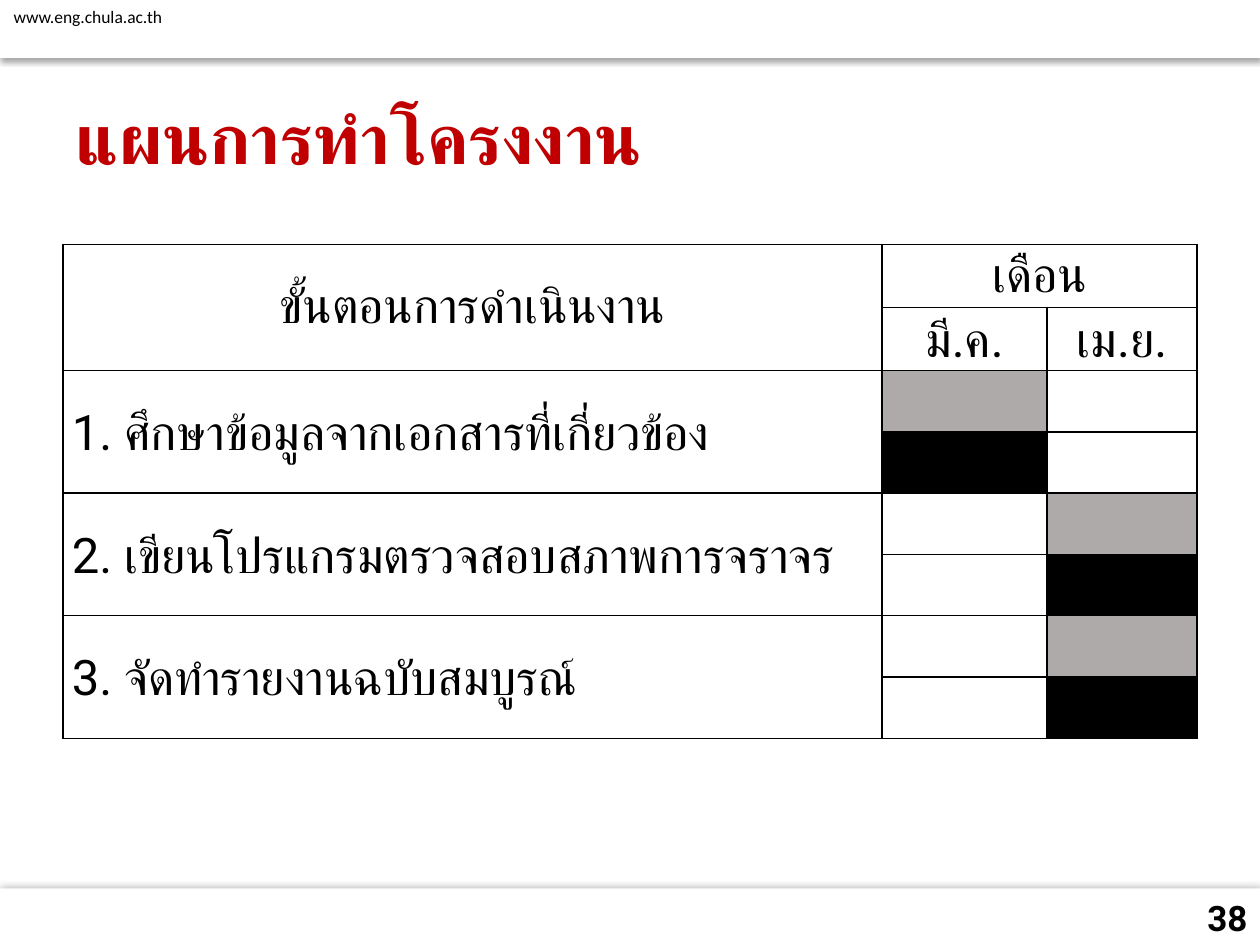
from lxml.etree import SubElement
from pptx import Presentation
from pptx.dml.color import RGBColor
from pptx.enum.shapes import MSO_SHAPE
from pptx.enum.text import MSO_ANCHOR, PP_ALIGN
from pptx.oxml import parse_xml
from pptx.oxml.ns import nsdecls, qn
from pptx.util import Inches, Pt


def color(value):
    return RGBColor.from_string(value)


def write(text_frame, text, size, font_color, alignment=PP_ALIGN.LEFT, bold=False, font_name="Roboto"):
    text_frame.text = text
    paragraph = text_frame.paragraphs[0]
    paragraph.alignment = alignment
    font = paragraph.runs[0].font
    font.name = font_name
    font.size = Pt(size)
    font.bold = bold
    font.color.rgb = color(font_color)
    return paragraph


presentation = Presentation()
presentation.slide_width = Inches(10)
presentation.slide_height = Inches(7.5)
slide = presentation.slides.add_slide(presentation.slide_layouts[6])

bars = [(7.05, 40, 5, 0, 0), (0, 35, 3.1, 1.8, 90)]
for top, opacity, blur, distance, angle in bars:
    bar = slide.shapes.add_shape(MSO_SHAPE.RECTANGLE, 0, Inches(top), Inches(10), Inches(0.46))
    bar.fill.solid()
    bar.fill.fore_color.rgb = color("FFFFFF")
    bar.line.fill.background()
    bar.shadow.inherit = False
    effects = bar.element.spPr.find(qn("a:effectLst"))
    shadow = SubElement(effects, qn("a:outerShdw"), blurRad=str(Pt(blur)), dist=str(Pt(distance)),
                        dir=str(angle * 60000), algn="ctr", rotWithShape="0")
    shadow_color = SubElement(shadow, qn("a:srgbClr"), val="000000")
    SubElement(shadow_color, qn("a:alpha"), val=str(opacity * 1000))

texts = [
    (0.01, 0, 1.4, 0.27, "www.eng.chula.ac.th", 10, "000000", PP_ALIGN.LEFT, False, "Calibri"),
    (0.5, 0.61, 7.8, 0.94, "แผนการทำโครงงาน", 40, "C00000", PP_ALIGN.LEFT, True, "Roboto"),
    (7.67, 7.08, 2.33, 0.4, "38", 20, "000000", PP_ALIGN.RIGHT, True, "Roboto"),
]
for left, top, width, height, *content in texts:
    box = slide.shapes.add_textbox(Inches(left), Inches(top), Inches(width), Inches(height))
    box.text_frame.word_wrap = width > 2
    box.text_frame.vertical_anchor = MSO_ANCHOR.MIDDLE
    write(box.text_frame, *content)

row_height = 0.487
plan = slide.shapes.add_table(8, 3, Inches(0.5), Inches(1.94), Inches(9), Inches(8 * row_height)).table
plan.first_row = False
plan.horz_banding = False
for column, width in zip(plan.columns, (6.5, 1.31, 1.19)):
    column.width = Inches(width)
for row in plan.rows:
    row.height = Inches(row_height)

fills = {}
labels = {
    (0, 0): "ขั้นตอนการดำเนินงาน",
    (0, 1): "เดือน",
    (1, 1): "มี.ค.",
    (1, 2): "เม.ย.",
}
tasks = [
    ("1. ศึกษาข้อมูลจากเอกสารที่เกี่ยวข้อง", 1),
    ("2. เขียนโปรแกรมตรวจสอบสภาพการจราจร", 2),
    ("3. จัดทำรายงานฉบับสมบูรณ์", 2),
]
for index, (task, month) in enumerate(tasks, 1):
    labels[2 * index, 0] = task
    fills[2 * index, month] = "AEAAAA"
    fills[2 * index + 1, month] = "000000"
for top in range(0, 8, 2):
    fills[top, 0] = "FFFFFF"
    plan.cell(top, 0).merge(plan.cell(top + 1, 0))
plan.cell(0, 1).merge(plan.cell(0, 2))

for row in range(8):
    for column in range(3):
        cell = plan.cell(row, column)
        if (row, column) in fills:
            cell.fill.solid()
            cell.fill.fore_color.rgb = color(fills[row, column])
        else:
            cell.fill.background()
        properties = cell._tc.get_or_add_tcPr()
        for position, side in enumerate("LRTB"):
            properties.insert(position, parse_xml(
                f'<a:ln{side} {nsdecls("a")} w="{Pt(1)}"><a:solidFill>'
                f'<a:srgbClr val="000000"/></a:solidFill></a:ln{side}>'))
        if (row, column) in labels:
            cell.margin_left = cell.margin_right = Inches(0.07)
            cell.margin_top = cell.margin_bottom = 0
            cell.vertical_anchor = MSO_ANCHOR.MIDDLE
            alignment = PP_ALIGN.CENTER if row < 2 else PP_ALIGN.LEFT
            paragraph = write(cell.text_frame, labels[row, column], 28, "000000", alignment)
            paragraph.line_spacing = 1.07

presentation.save("out.pptx")
